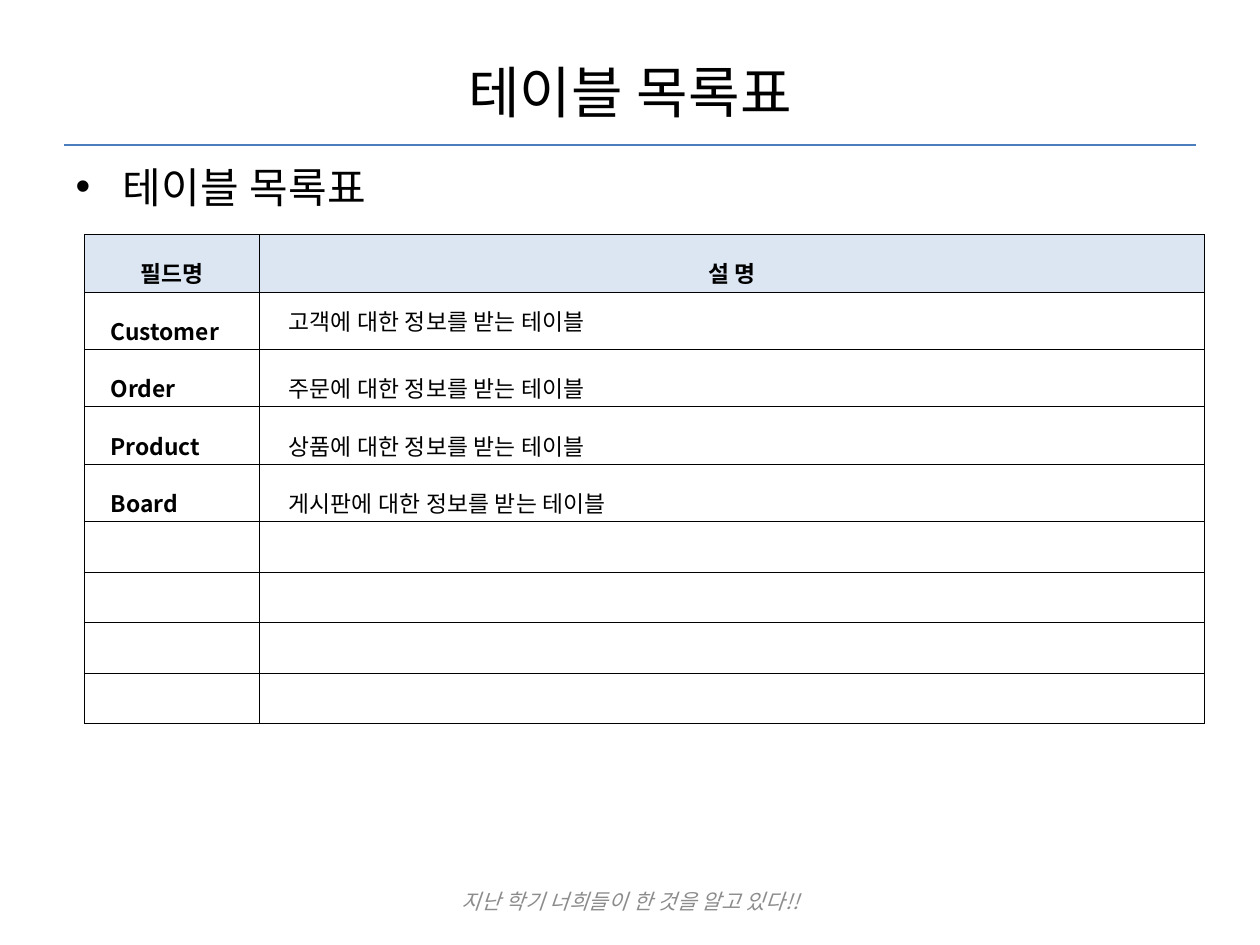
from dataclasses import dataclass

from lxml.etree import SubElement
from pptx import Presentation
from pptx.dml.color import RGBColor
from pptx.enum.shapes import MSO_CONNECTOR as Connector
from pptx.enum.text import MSO_ANCHOR as Anchor, PP_ALIGN as Align
from pptx.oxml.ns import qn
from pptx.util import Inches, Pt


@dataclass(frozen=True)
class Theme:
    """Fonts, colours and type sizes of the page."""
    font: str = "Noto Sans CJK KR"
    ink: str = "000000"
    muted: str = "8C8C8C"
    rule: str = "4B7EBC"
    header: str = "DCE6F2"
    title: int = 32
    body: int = 24
    cell: int = 13
    footer: int = 12
    tracking: int = 16


THEME = Theme()
HEADINGS = ("필드명", "설 명")
TABLES = (
    ("Customer", "고객에 대한 정보를 받는 테이블"),
    ("Order", "주문에 대한 정보를 받는 테이블"),
    ("Product", "상품에 대한 정보를 받는 테이블"),
    ("Board", "게시판에 대한 정보를 받는 테이블"),
)
EMPTY_ROWS = 4
COLUMN_WIDTHS = (1.39, 7.5)
CELL_INDENTS = (0.19, 0.21)
TEXT_ROW_HEIGHT = 2.28 / (1 + len(TABLES))
EMPTY_ROW_HEIGHT = 0.4


def add_span(para, text, size, color=THEME.ink, bold=False, italic=False):
    """Add one formatted run to a paragraph, regular weight slightly tracked."""
    span = para.add_run()
    span.text = text
    font = span.font
    font.name, font.size, font.bold, font.italic = THEME.font, Pt(size), bold, italic
    font.color.rgb = RGBColor.from_string(color)
    SubElement(font._element, qn("a:ea"), typeface=THEME.font)
    if not bold:
        font._element.set("spc", str(THEME.tracking))


def place(box, left, top, width, height):
    """Move and size a shape, in inches."""
    box.left, box.top = Inches(left), Inches(top)
    box.width, box.height = Inches(width), Inches(height)


def fill_placeholder(box, bounds, text, size):
    """Place a template placeholder and write its text."""
    place(box, *bounds)
    add_span(box.text_frame.paragraphs[0], text, size)


def add_rule(page, left, right, top):
    """Draw the thin line below the title."""
    rule = page.shapes.add_connector(
        Connector.STRAIGHT, Inches(left), Inches(top), Inches(right), Inches(top))
    rule.line.color.rgb = RGBColor.from_string(THEME.rule)
    rule.line.width = Pt(0.75)
    SubElement(rule._element.spPr, qn("a:effectLst"))


def add_footer(page, text):
    """Add the centred italic footer."""
    box = page.shapes.add_textbox(Inches(3.42), Inches(6.95), Inches(3.17), Inches(0.4))
    frame = box.text_frame
    frame.word_wrap = True
    frame.vertical_anchor = Anchor.MIDDLE
    para = frame.paragraphs[0]
    para.alignment = Align.CENTER
    add_span(para, text, THEME.footer, THEME.muted, italic=True)


def style_cell(cell, color=None):
    """Give a cell its margins, borders and fill."""
    cell.vertical_anchor = Anchor.MIDDLE
    cell.margin_left = cell.margin_right = Inches(0.02)
    cell.margin_top = cell.margin_bottom = Inches(0.02)
    properties = cell._tc.get_or_add_tcPr()
    for side in ("lnL", "lnR", "lnT", "lnB"):
        border = SubElement(properties, qn(f"a:{side}"), w=str(Pt(0.28)))
        solid = SubElement(border, qn("a:solidFill"))
        SubElement(solid, qn("a:srgbClr"), val=THEME.ink)
    if color:
        cell.fill.solid()
        cell.fill.fore_color.rgb = RGBColor.from_string(color)
    else:
        cell.fill.background()


def write_cell(cell, text, align, bold, indent=0, spacing=1.6):
    """Write one line into a cell, or keep an empty line at cell size."""
    para = cell.text_frame.paragraphs[0]
    if not text:
        SubElement(para._p, qn("a:endParaRPr"), sz=str(THEME.cell * 100))
        return
    para.alignment = align
    para.line_spacing = spacing
    if indent:
        para._p.get_or_add_pPr().set("marL", str(Inches(indent)))
    add_span(para, text, THEME.cell, bold=bold)


def add_table_list(page):
    """Build the table of table names and descriptions."""
    rows = (HEADINGS, *TABLES, *[("", "")] * EMPTY_ROWS)
    heights = [TEXT_ROW_HEIGHT if texts[0] else EMPTY_ROW_HEIGHT for texts in rows]
    grid = page.shapes.add_table(
        len(rows), len(HEADINGS), Inches(0.67), Inches(1.86),
        Inches(sum(COLUMN_WIDTHS)), Inches(sum(heights))).table
    grid.first_row = grid.horz_banding = False
    for column, width in zip(grid.columns, COLUMN_WIDTHS):
        column.width = Inches(width)
    for r, texts in enumerate(rows):
        heading = r == 0
        grid.rows[r].height = Inches(heights[r])
        for c, text in enumerate(texts):
            cell = grid.cell(r, c)
            style_cell(cell, THEME.header if heading else None)
            if heading:
                write_cell(cell, text, Align.CENTER, True)
            else:
                spacing = 1.0 if (r, c) == (1, 1) else 1.6
                write_cell(cell, text, Align.JUSTIFY, c == 0, CELL_INDENTS[c], spacing)


def main():
    """Build the page and save the deck."""
    deck = Presentation()
    deck.slide_width, deck.slide_height = Inches(10), Inches(7.5)
    page = deck.slides.add_slide(deck.slide_layouts[1])
    add_rule(page, 0.51, 9.49, 1.15)
    fill_placeholder(page.shapes.title, (0.5, 0.3, 9, 0.85), "테이블 목록표", THEME.title)
    fill_placeholder(page.placeholders[1], (0.5, 1.23, 9, 0.63), "테이블 목록표", THEME.body)
    add_footer(page, "지난 학기 너희들이 한 것을 알고 있다!!")
    add_table_list(page)
    deck.save("out.pptx")


if __name__ == "__main__":
    main()
